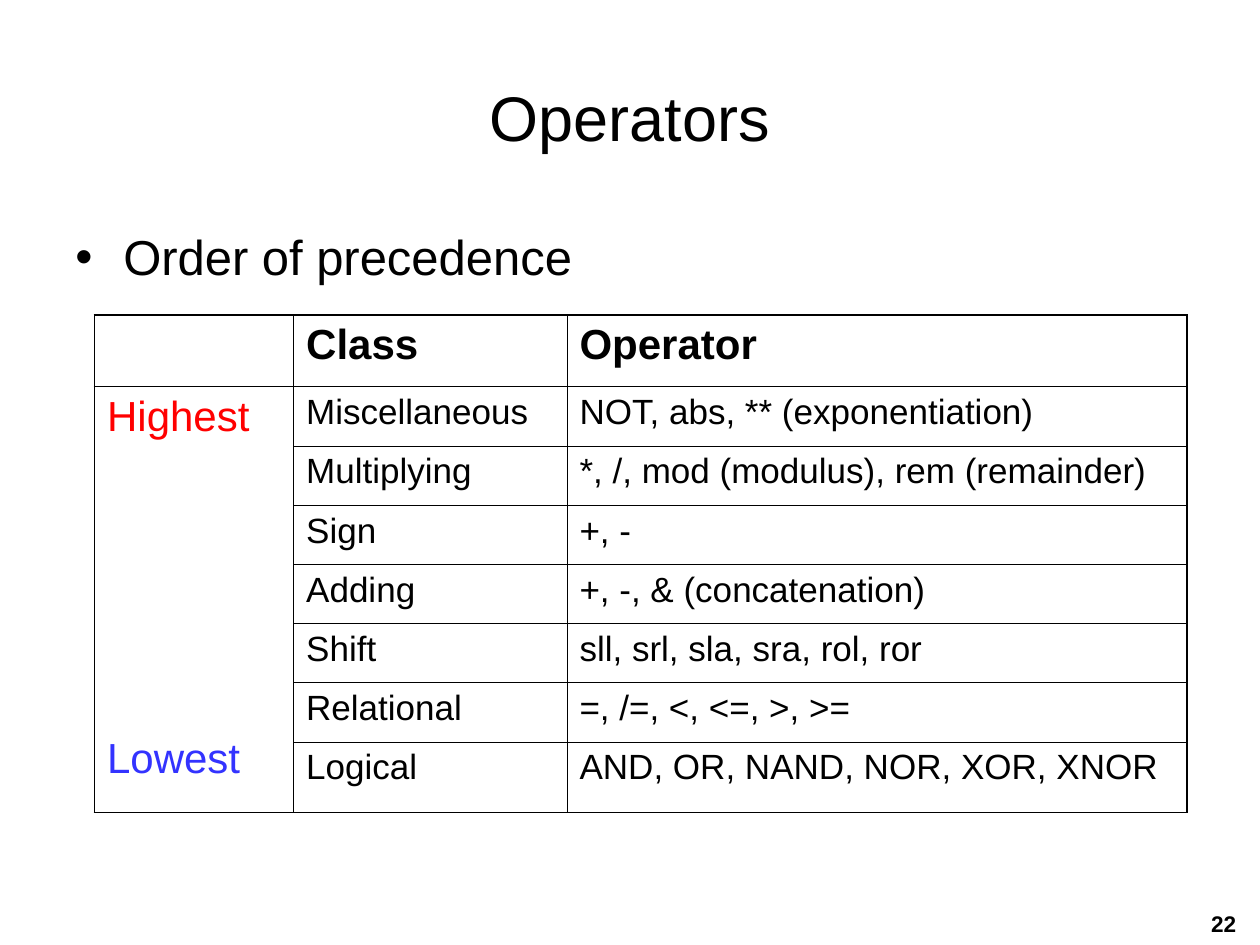
import dataclasses

import pptx
import pptx.dml.color
import pptx.enum.text
import pptx.oxml
import pptx.oxml.ns
import pptx.util

Inches = pptx.util.Inches
Pt = pptx.util.Pt
ALIGN = pptx.enum.text.PP_ALIGN
ANCHOR = pptx.enum.text.MSO_ANCHOR
NAMESPACE = pptx.oxml.ns.nsdecls("a")


@dataclasses.dataclass(frozen=True)
class Theme:
    font: str = "Arial"
    text: str = "000000"
    highest: str = "FF0000"
    lowest: str = "3333FF"
    title_size: float = 36
    body_size: float = 28
    heading_size: float = 24
    cell_size: float = 20
    number_size: float = 12.9
    outer_border: float = 1.08
    inner_border: float = 0.45


class SlideBuilder:
    def __init__(self, slide, theme):
        self.slide = slide
        self.theme = theme

    def add_text(self, para, text, size, color=None, bold=False, **formats):
        for name, value in formats.items():
            setattr(para, name, value)
        span = para.add_run()
        span.text = text
        font_format = {"name": self.theme.font, "size": Pt(size), "bold": bold}
        for name, value in font_format.items():
            setattr(span.font, name, value)
        span.font.color.rgb = pptx.dml.color.RGBColor.from_string(color or self.theme.text)

    def text_box(self, area, text, size, anchor=ANCHOR.TOP, bullet=False, **formats):
        box = self.slide.shapes.add_textbox(*map(Inches, area))
        frame_format = {"word_wrap": True, "vertical_anchor": anchor}
        for name, value in frame_format.items():
            setattr(box.text_frame, name, value)
        para = box.text_frame.paragraphs[0]
        if bullet:
            self.bullet(para)
        self.add_text(para, text, size, **formats)

    def bullet(self, para):
        properties = para._p.get_or_add_pPr()
        hanging = Inches(0.38)
        for name, value in {"marL": hanging, "indent": -hanging}.items():
            properties.set(name, str(value))
        for xml in (
            f'<a:buClr {NAMESPACE}><a:srgbClr val="{self.theme.text}"/></a:buClr>',
            f'<a:buFont {NAMESPACE} typeface="{self.theme.font}"/>',
            f'<a:buChar {NAMESPACE} char="•"/>',
        ):
            properties.append(pptx.oxml.parse_xml(xml))

    def borders(self, cell, outer_sides):
        properties = cell._tc.get_or_add_tcPr()
        for index, side in enumerate("LRTB"):
            points = self.theme.outer_border if side in outer_sides else self.theme.inner_border
            properties.insert(index, pptx.oxml.parse_xml(
                f'<a:ln{side} {NAMESPACE} w="{Pt(points)}"><a:solidFill>'
                f'<a:srgbClr val="{self.theme.text}"/></a:solidFill></a:ln{side}>'
            ))

    def table(self, left, top, widths, heights, rows):
        frame = self.slide.shapes.add_table(
            len(heights), len(widths), Inches(left), Inches(top),
            Inches(sum(widths)), Inches(sum(heights)),
        )
        table = frame.table
        for name in ("first_row", "horz_banding"):
            setattr(table, name, False)
        for column, width in zip(table.columns, widths):
            column.width = Inches(width)
        for row, height in zip(table.rows, heights):
            row.height = Inches(height)
        last_row, last_column = len(heights) - 1, len(widths) - 1
        scale = table.cell(1, 0)
        scale.merge(table.cell(last_row, 0))
        for row_index, texts in enumerate(rows):
            heading = row_index == 0
            size = self.theme.heading_size if heading else self.theme.cell_size
            for column_index, text in enumerate(("", *texts)):
                cell = table.cell(row_index, column_index)
                if cell.is_spanned:
                    continue
                cell.fill.background()
                bottom_row = row_index + (cell.span_height if cell.is_merge_origin else 1) - 1
                edges = {
                    "L": column_index == 0,
                    "R": column_index == last_column,
                    "T": heading,
                    "B": bottom_row == last_row,
                }
                self.borders(cell, [side for side, outer in edges.items() if outer])
                if text:
                    self.add_text(cell.text_frame.paragraphs[0], text, size, bold=heading)
        return scale


def main():
    theme = Theme()
    deck = pptx.Presentation()
    deck.slide_width, deck.slide_height = Inches(10), Inches(7.5)
    page = SlideBuilder(deck.slides.add_slide(deck.slide_layouts[6]), theme)

    page.text_box((9.08, 7.17, 0.83, 0.33), "22", theme.number_size,
                  bold=True, alignment=ALIGN.RIGHT)
    page.text_box((0.5, 0.3, 9, 1.25), "Operators", theme.title_size,
                  anchor=ANCHOR.MIDDLE, alignment=ALIGN.CENTER)
    page.text_box((0.5, 1.75, 4.42, 4.95), "Order of precedence", theme.body_size, bullet=True)

    precedence = [
        ("Class", "Operator"),
        ("Miscellaneous", "NOT, abs, ** (exponentiation)"),
        ("Multiplying", "*, /, mod (modulus), rem (remainder)"),
        ("Sign", "+, -"),
        ("Adding", "+, -, & (concatenation)"),
        ("Shift", "sll, srl, sla, sra, rol, ror"),
        ("Relational", "=, /=, <, <=, >, >="),
        ("Logical", "AND, OR, NAND, NOR, XOR, XNOR"),
    ]
    scale = page.table(0.75, 2.5, [1.58, 2.17, 4.92], [0.57, *[0.47] * 6, 0.56], precedence)
    page.add_text(scale.text_frame.paragraphs[0], "Highest", theme.heading_size, theme.highest)
    page.add_text(scale.text_frame.add_paragraph(), "Lowest", theme.heading_size, theme.lowest,
                  space_before=Pt(169))

    deck.save("out.pptx")


if __name__ == "__main__":
    main()
